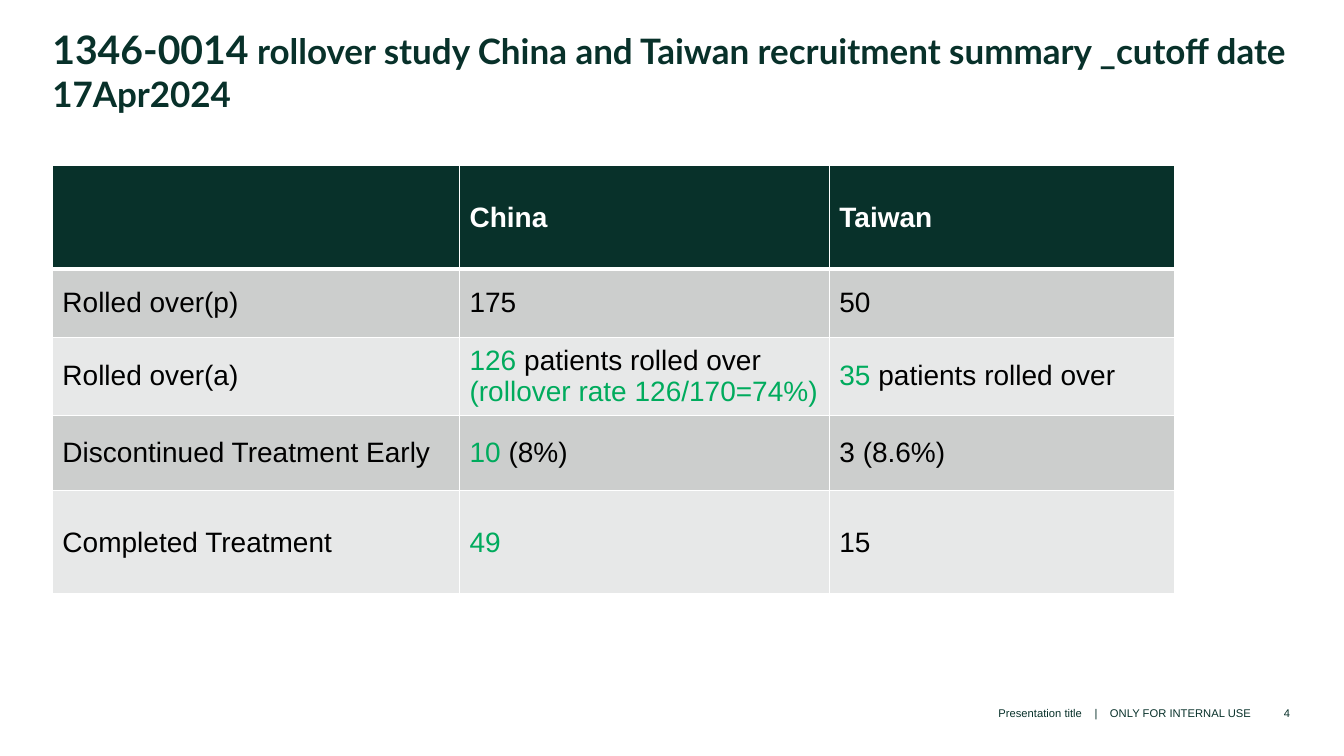
from lxml import etree
from pptx import Presentation
from pptx.dml.color import RGBColor
from pptx.enum.text import MSO_ANCHOR, PP_ALIGN
from pptx.oxml.ns import qn
from pptx.util import Cm, Pt

TOP, MIDDLE, BOTTOM = MSO_ANCHOR.TOP, MSO_ANCHOR.MIDDLE, MSO_ANCHOR.BOTTOM
LEFT, RIGHT = PP_ALIGN.LEFT, PP_ALIGN.RIGHT

COLORS = {
    "dark": "08312A", "green": "00AB5D", "white": "FFFFFF", "black": "000000",
    "band_dark": "CCCECD", "band_light": "E7E8E8",
}

# Content: a paragraph is a list of (text, format) runs
TITLE_FORMAT = {"name": "Lato", "color": "dark", "bold": True}
FOOTER_FORMAT = {"name": "Arial", "color": "dark", "size": 8}
HEADER_FORMAT = {"name": "Arial", "color": "white", "size": 20, "bold": True}
BODY_FORMAT = {"name": "Arial", "color": "black", "size": 20, "bold": False}
GREEN = BODY_FORMAT | {"color": "green"}

TITLE = [
    ("1346-0014", TITLE_FORMAT | {"size": 28}),
    (" rollover study China and Taiwan recruitment summary _cutoff date 17Apr2024",
     TITLE_FORMAT | {"size": 25}),
]
FOOTER = [
    ("Presentation title", FOOTER_FORMAT),
    (" |", FOOTER_FORMAT | {"spacing": 6.67}),
    (" ONLY FOR INTERNAL USE", FOOTER_FORMAT),
]
PAGE_NUMBER = [("4", FOOTER_FORMAT)]

HEADER = ["", "China", "Taiwan"]
# Each cell is a list of lines; each line is (green part, black part)
RECRUITMENT = [
    [[("", "Rolled over(p)")], [("", "175")], [("", "50")]],
    [[("", "Rolled over(a)")],
     [("126 ", "patients rolled over"), ("(rollover rate 126/170=74%)", "")],
     [("35 ", "patients rolled over")]],
    [[("", "Discontinued Treatment Early")], [("10 ", "(8%)")], [("", "3 (8.6%)")]],
    [[("", "Completed Treatment")], [("49", "")], [("", "15")]],
]

# Layout in centimetres
SLIDE_SIZE = (33.87, 19.05)
TITLE_BOX = (1.32, 0.64, 32.36, 2.01)
FOOTER_BOX = (17.53, 17.35, 14, 0.79)
PAGE_BOX = (31.72, 17.35, 0.79, 0.79)
TABLE_LEFT, TABLE_TOP = 1.32, 4.18
COLUMN_WIDTHS = [10.26, 9.32, 8.71]
ROW_HEIGHTS = [2.59, 1.73, 1.96, 1.91, 2.59]


def rgb(color):
    return RGBColor.from_string(COLORS[color])


def add_runs(paragraph, runs):
    for text, style in runs:
        run = paragraph.add_run()
        run.text = text
        for key, value in style.items():
            if key == "color":
                run.font.color.rgb = rgb(value)
            elif key == "spacing":
                run._r.get_or_add_rPr().set("spc", str(round(value * 100)))
            else:
                setattr(run.font, key, Pt(value) if key == "size" else value)


def add_text(slide, box, runs, anchor, align, space_after=0):
    frame = slide.shapes.add_textbox(*map(Cm, box)).text_frame
    settings = {"margin_left": 0, "margin_top": 0, "margin_right": 0,
                "margin_bottom": 0, "word_wrap": True, "vertical_anchor": anchor}
    for key, value in settings.items():
        setattr(frame, key, value)
    paragraph = frame.paragraphs[0]
    paragraph.alignment = align
    paragraph.space_after = Pt(space_after)
    add_runs(paragraph, runs)


def set_borders(cell, widths):
    properties = cell._tc.get_or_add_tcPr()
    for side, width in widths.items():
        line = etree.SubElement(properties, qn(f"a:ln{side}"), w=str(Pt(width)))
        fill = etree.SubElement(line, qn("a:solidFill"))
        etree.SubElement(fill, qn("a:srgbClr"), val=COLORS["white"])


def add_recruitment_table(slide):
    header_row = [[[(name, HEADER_FORMAT)]] if name else [] for name in HEADER]
    body_rows = [
        [[[(text, style) for text, style in zip(line, (GREEN, BODY_FORMAT)) if text]
          for line in lines] for lines in row]
        for row in RECRUITMENT
    ]
    rows = [header_row] + body_rows
    table = slide.shapes.add_table(
        len(rows), len(HEADER), Cm(TABLE_LEFT), Cm(TABLE_TOP),
        Cm(sum(COLUMN_WIDTHS)), Cm(sum(ROW_HEIGHTS))).table
    for column, width in zip(table.columns, COLUMN_WIDTHS):
        column.width = Cm(width)
    for row, height in zip(table.rows, ROW_HEIGHTS):
        row.height = Cm(height)

    for r, row in enumerate(rows):
        band = "dark" if r == 0 else ("band_light", "band_dark")[r % 2]
        borders = {"L": 1, "R": 1, "T": 3 if r == 1 else 1, "B": 3 if r == 0 else 1}
        for c, lines in enumerate(row):
            cell = table.cell(r, c)
            cell.vertical_anchor = MIDDLE
            set_borders(cell, borders)
            cell.fill.solid()
            cell.fill.fore_color.rgb = rgb(band)
            for i, runs in enumerate(lines):
                frame = cell.text_frame
                add_runs(frame.add_paragraph() if i else frame.paragraphs[0], runs)


def main():
    deck = Presentation()
    deck.slide_width, deck.slide_height = map(Cm, SLIDE_SIZE)
    slide = deck.slides.add_slide(deck.slide_layouts[6])

    # Title
    add_text(slide, TITLE_BOX, TITLE, TOP, LEFT)
    # Recruitment table
    add_recruitment_table(slide)
    # Footer and page number
    add_text(slide, FOOTER_BOX, FOOTER, BOTTOM, RIGHT, space_after=3)
    add_text(slide, PAGE_BOX, PAGE_NUMBER, BOTTOM, RIGHT)

    deck.save("out.pptx")


if __name__ == "__main__":
    main()
